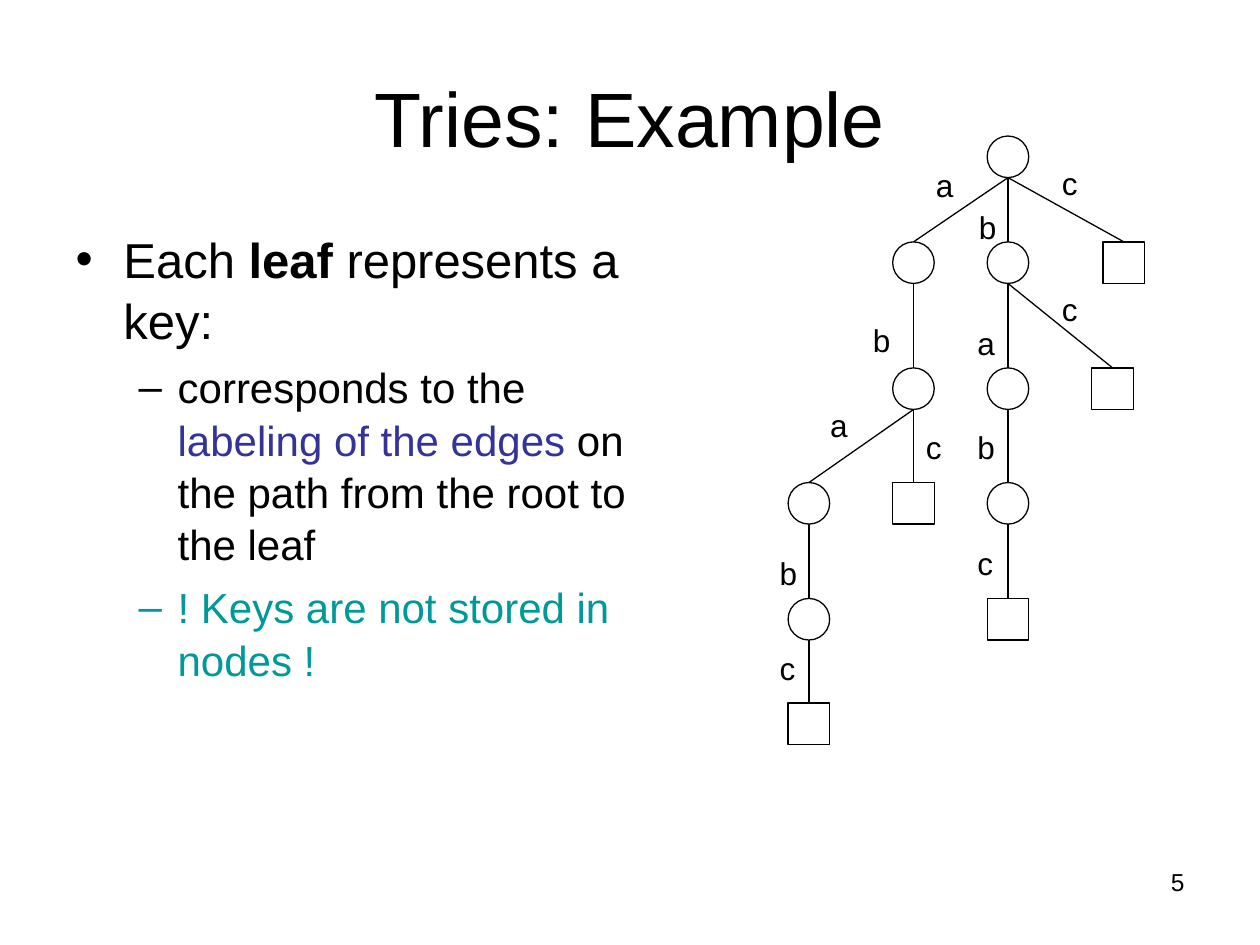
import pptx
import pptx.dml.color
import pptx.enum.shapes
import pptx.enum.text
import pptx.util
from lxml import etree
from pptx.oxml.ns import qn

Inches = pptx.util.Inches
BLACK, BLUE, TEAL = "000000", "333399", "009999"


def rgb(value):
    return pptx.dml.color.RGBColor.from_string(value)


def add_run(paragraph, text, size, color=BLACK, bold=False):
    run = paragraph.add_run()
    run.text = text
    run.font.name = "Arial"
    run.font.size = pptx.util.Pt(size)
    run.font.bold = bold
    run.font.color.rgb = rgb(color)


presentation = pptx.Presentation()
presentation.slide_width = Inches(10)
presentation.slide_height = Inches(7.5)
slide = presentation.slides.add_slide(presentation.slide_layouts[1])

# Title
title = slide.shapes.title
title.left, title.top, title.width, title.height = map(Inches, (0.5, 0.3, 9, 1.25))
title.text_frame.vertical_anchor = pptx.enum.text.MSO_ANCHOR.MIDDLE
title.text_frame.auto_size = pptx.enum.text.MSO_AUTO_SIZE.NONE
paragraph = title.text_frame.paragraphs[0]
paragraph.alignment = pptx.enum.text.PP_ALIGN.CENTER
add_run(paragraph, "Tries: Example", 44)

# Bulleted list: level, space before, bullet color, runs
body = slide.placeholders[1]
body.left, body.top, body.width, body.height = map(Inches, (0.5, 1.75, 4.57, 4.95))
body.text_frame.auto_size = pptx.enum.text.MSO_AUTO_SIZE.NONE
bullet_styles = [("•", 0.38, -0.38, 28), ("–", 0.81, -0.31, 24)]
bullets = [
    (0, 0, BLACK, [("Each", BLACK, False), (" leaf ", BLACK, True),
                   ("represents a key:", BLACK, False)]),
    (1, 6, BLACK, [("corresponds to the ", BLACK, False),
                   ("labeling of the edges", BLUE, False),
                   (" on the path from the root to the leaf", BLACK, False)]),
    (1, 6, TEAL, [("! Keys are not stored in nodes !", TEAL, False)]),
]
for index, (level, space_before, bullet_color, runs) in enumerate(bullets):
    frame = body.text_frame
    paragraph = frame.add_paragraph() if index else frame.paragraphs[0]
    character, margin, indent, size = bullet_styles[level]
    paragraph.level = level
    paragraph.space_before = pptx.util.Pt(space_before)
    paragraph.line_spacing = 1.04
    properties = paragraph._p.get_or_add_pPr()
    properties.set("marL", str(Inches(margin)))
    properties.set("indent", str(Inches(indent)))
    color_element = etree.SubElement(properties, qn("a:buClr"))
    etree.SubElement(color_element, qn("a:srgbClr"), val=bullet_color)
    etree.SubElement(properties, qn("a:buFont"), typeface="Arial")
    etree.SubElement(properties, qn("a:buChar"), char=character)
    for text, color, bold in runs:
        add_run(paragraph, text, size, color, bold)

# Trie: each node is keyed by its prefix; center x, top, edge label left and top
NODE_SIZE = 0.33
trie = {
    "": (8, 1.08, None, None),
    "a": (7.25, 1.92, 7.33, 1.27),
    "b": (8, 1.92, 7.67, 1.6),
    "c": (8.92, 1.92, 8.33, 1.25),
    "ab": (7.25, 2.92, 6.83, 2.5),
    "ba": (8, 2.92, 7.66, 2.52),
    "bc": (8.83, 2.92, 8.33, 2.25),
    "aba": (6.42, 3.83, 6.49, 3.17),
    "abc": (7.25, 3.83, 7.25, 3.35),
    "bab": (8, 3.83, 7.66, 3.35),
    "abab": (6.42, 4.75, 6.09, 4.35),
    "babc": (8, 4.75, 7.66, 4.27),
    "ababc": (6.42, 5.58, 6.09, 5.1),
}
inner_prefixes = {prefix[:-1] for prefix in trie if prefix}
tree = slide.shapes.add_group_shape()
nodes = {}
for prefix, (center, top, _, _) in trie.items():
    kind = pptx.enum.shapes.MSO_SHAPE
    node = tree.shapes.add_shape(
        kind.OVAL if prefix in inner_prefixes else kind.RECTANGLE,
        Inches(center - NODE_SIZE / 2), Inches(top), Inches(NODE_SIZE), Inches(NODE_SIZE))
    node.shadow.inherit = False
    node.fill.background()
    node.line.color.rgb = rgb(BLACK)
    node.line.width = pptx.util.Pt(0.75)
    nodes[prefix] = node

for prefix, (center, top, label_left, label_top) in trie.items():
    if not prefix:
        continue
    parent_center, parent_top = trie[prefix[:-1]][:2]
    edge = tree.shapes.add_connector(
        pptx.enum.shapes.MSO_CONNECTOR.STRAIGHT,
        Inches(parent_center), Inches(parent_top + NODE_SIZE), Inches(center), Inches(top))
    edge.end_connect(nodes[prefix], 0)
    edge.line.color.rgb = rgb(BLACK)
    edge.line.width = pptx.util.Pt(0.75)
    etree.SubElement(edge._element.spPr, qn("a:effectLst"))

    label = tree.shapes.add_textbox(
        Inches(label_left), Inches(label_top), Inches(0.34), Inches(0.4))
    label.text_frame.word_wrap = False
    label.text_frame.auto_size = pptx.enum.text.MSO_AUTO_SIZE.SHAPE_TO_FIT_TEXT
    add_run(label.text_frame.paragraphs[0], prefix[-1], 18)

# Slide number
number = slide.shapes.add_textbox(Inches(7.17), Inches(6.83), Inches(2.33), Inches(0.52))
number.text_frame.word_wrap = True
paragraph = number.text_frame.paragraphs[0]
paragraph.alignment = pptx.enum.text.PP_ALIGN.RIGHT
add_run(paragraph, "5", 14)

presentation.save("out.pptx")
